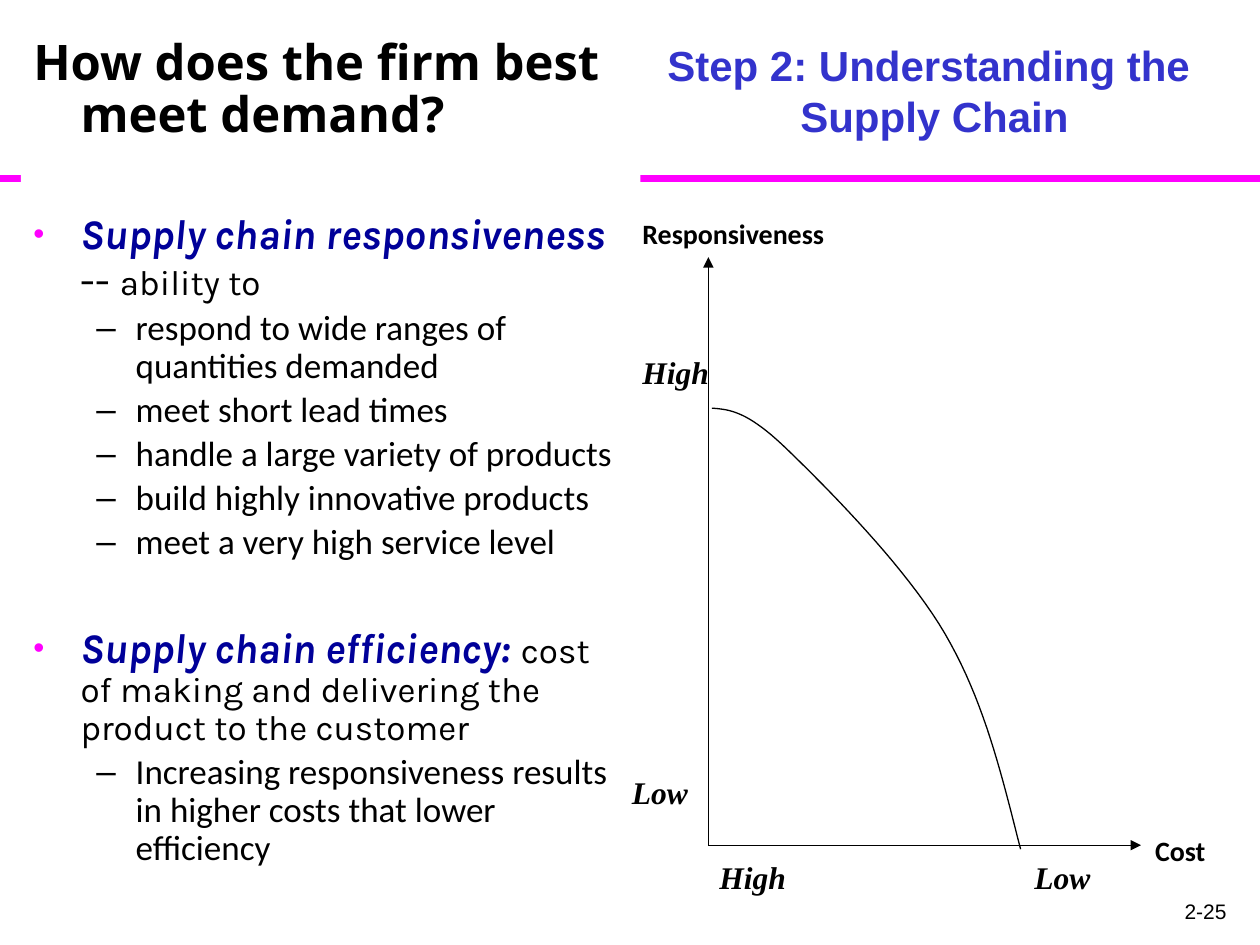
from dataclasses import dataclass

from lxml.etree import SubElement
from pptx import Presentation
from pptx.dml.color import RGBColor
from pptx.enum.shapes import MSO_CONNECTOR as Connector, MSO_SHAPE as Shape
from pptx.enum.text import MSO_ANCHOR as Anchor, PP_ALIGN as Align
from pptx.oxml.ns import qn
from pptx.util import Pt


@dataclass(frozen=True)
class Theme:
    black: str = "000000"
    white: str = "FFFFFF"
    navy: str = "000099"
    blue: str = "3333CC"
    magenta: str = "FF00FF"
    question: int = 28
    heading: int = 24
    body: int = 20
    scale: int = 18
    axis: int = 16
    number: int = 12


THEME = Theme()


@dataclass(frozen=True)
class Style:
    font: str
    size: int
    color: str = THEME.black
    bold: bool = False
    italic: bool = False


QUESTION = Style("Noto Sans", THEME.question, bold=True)
TERM = Style("Karla", THEME.heading, THEME.navy, True, True)
DASH = Style("Karla", THEME.heading)
MEANING = Style("Karla", THEME.body)
DETAIL = Style("Calibri", THEME.body)
TITLE = Style("Arial", THEME.heading, THEME.blue, True)
SCALE = Style("Times New Roman", THEME.scale, bold=True, italic=True)
AXIS = Style("Calibri", THEME.axis, bold=True)
NUMBER = Style("Arial", THEME.number)


@dataclass(frozen=True)
class Level:
    margin: float
    indent: float
    bullet: str = ""
    color: str = THEME.black
    percent: int = 100


PLAIN = Level(27, -27)
TOPIC = Level(27, -27, "•", THEME.magenta, 75)
POINT = Level(58.5, -22.5, "–")


@dataclass(frozen=True)
class Entry:
    level: Level
    spans: tuple[tuple[str, Style], ...]
    before: float = 3.6


@dataclass(frozen=True)
class Label:
    text: str
    style: Style
    left: float
    top: float
    width: float
    height: float
    align: Align = Align.LEFT
    anchor: Anchor = Anchor.TOP
    wrap: bool = False


def point(text: str) -> Entry:
    return Entry(POINT, ((text, DETAIL),))


ENTRIES = (
    Entry(PLAIN, (("How does the firm best meet demand?", QUESTION),), 0),
    Entry(TOPIC, (("Supply chain responsiveness", TERM), (" -- ", DASH),
                  ("ability to", MEANING)), 40),
    point("respond to wide ranges of quantities demanded"),
    point("meet short lead times"),
    point("handle a large variety of products"),
    point("build highly innovative products"),
    point("meet a very high service level"),
    Entry(TOPIC, (("Supply chain efficiency: ", TERM),
                  ("cost of making and delivering the product to the customer", MEANING)), 37),
    point("Increasing responsiveness results in higher costs that lower efficiency "),
)

LABELS = (
    Label("2-25", NUMBER, 558, 509.76, 150, 30, Align.RIGHT, wrap=True),
    Label("Step 2: Understanding the \vSupply Chain", TITLE, 366, 30, 336, 54,
          Align.CENTER, Anchor.BOTTOM, True),
    Label("High", SCALE, 404, 486.7, 52.5, 29),
    Label("Low", SCALE, 584, 486.7, 47, 29),
    Label("Low", SCALE, 354, 438, 47, 29),
    Label("High", SCALE, 360, 198, 52.5, 29),
    Label("Responsiveness", AXIS, 360, 120, 140, 26.6),
    Label("Cost", AXIS, 653, 473, 50, 26.6, wrap=True),
)

ORIGIN = (404.8, 483)
AXIS_ENDS = ((404.8, 147), (652, 483))
CURVE_START = (406.8, 233.3)
CURVE = (
    ((417.6, 234), (427.7, 235.4), (450, 257)),
    ((472.3, 278.6), (517.7, 324), (540, 362.2)),
    ((562.3, 400.3), (572.4, 442.8), (583.2, 485.3)),
)
STEPS = 20


def paint(span, style: Style) -> None:
    font = span.font
    font.name = style.font
    font.size = Pt(style.size)
    font.bold = style.bold
    font.italic = style.italic
    font.color.rgb = RGBColor.from_string(style.color)


def set_level(para, level: Level) -> None:
    props = para._p.get_or_add_pPr()
    props.set("marL", str(Pt(level.margin)))
    props.set("indent", str(Pt(level.indent)))
    if not level.bullet:
        SubElement(props, qn("a:buNone"))
        return
    color = SubElement(props, qn("a:buClr"))
    SubElement(color, qn("a:srgbClr"), val=level.color)
    SubElement(props, qn("a:buSzPct"), val=str(level.percent * 1000))
    SubElement(props, qn("a:buFont"), typeface="Arial")
    SubElement(props, qn("a:buChar"), char=level.bullet)


def add_line(page, start, end, color: str, width: float, arrow: bool = False) -> None:
    line = page.shapes.add_connector(Connector.STRAIGHT, *map(Pt, start + end))
    line.line.color.rgb = RGBColor.from_string(color)
    line.line.width = Pt(width)
    if arrow:
        SubElement(line.line._get_or_add_ln(), qn("a:tailEnd"), type="triangle")
    SubElement(line._element.spPr, qn("a:effectLst"))


def add_panel(page) -> None:
    panel = page.shapes.add_shape(Shape.RECTANGLE, Pt(12), Pt(18), Pt(354), Pt(510))
    panel.shadow.inherit = False
    panel.fill.solid()
    panel.fill.fore_color.rgb = RGBColor.from_string(THEME.white)
    panel.line.fill.background()
    frame = panel.text_frame
    frame.word_wrap = True
    frame.vertical_anchor = Anchor.TOP
    for index, entry in enumerate(ENTRIES):
        para = frame.add_paragraph() if index else frame.paragraphs[0]
        para.alignment = Align.LEFT
        para.line_spacing = 0.9
        para.space_before = Pt(entry.before)
        set_level(para, entry.level)
        for text, style in entry.spans:
            span = para.add_run()
            span.text = text
            paint(span, style)


def add_label(page, label: Label) -> None:
    box = page.shapes.add_textbox(Pt(label.left), Pt(label.top), Pt(label.width), Pt(label.height))
    frame = box.text_frame
    frame.word_wrap = label.wrap
    frame.vertical_anchor = label.anchor
    para = frame.paragraphs[0]
    para.text = label.text
    para.alignment = label.align
    for span in para.runs:
        paint(span, label.style)


def add_curve(page) -> None:
    start, points = CURVE_START, []
    for first, second, end in CURVE:
        for step in range(1, STEPS + 1):
            t = step / STEPS
            u = 1 - t
            points.append(tuple(
                Pt(u**3 * a + 3 * u * u * t * b + 3 * u * t * t * c + t**3 * d)
                for a, b, c, d in zip(start, first, second, end)))
        start = end
    builder = page.shapes.build_freeform(*map(Pt, CURVE_START))
    builder.add_line_segments(points, close=False)
    curve = builder.convert_to_shape()
    curve.shadow.inherit = False
    curve.fill.background()
    curve.line.color.rgb = RGBColor.from_string(THEME.black)
    curve.line.width = Pt(0.75)


deck = Presentation()
deck.slide_width, deck.slide_height = Pt(720), Pt(540)
page = deck.slides.add_slide(deck.slide_layouts[6])
add_line(page, (0, 102), (720, 102), THEME.magenta, 4)
add_panel(page)
for axis_end in AXIS_ENDS:
    add_line(page, ORIGIN, axis_end, THEME.black, 0.75, True)
for label in LABELS:
    add_label(page, label)
add_curve(page)
deck.save("out.pptx")
